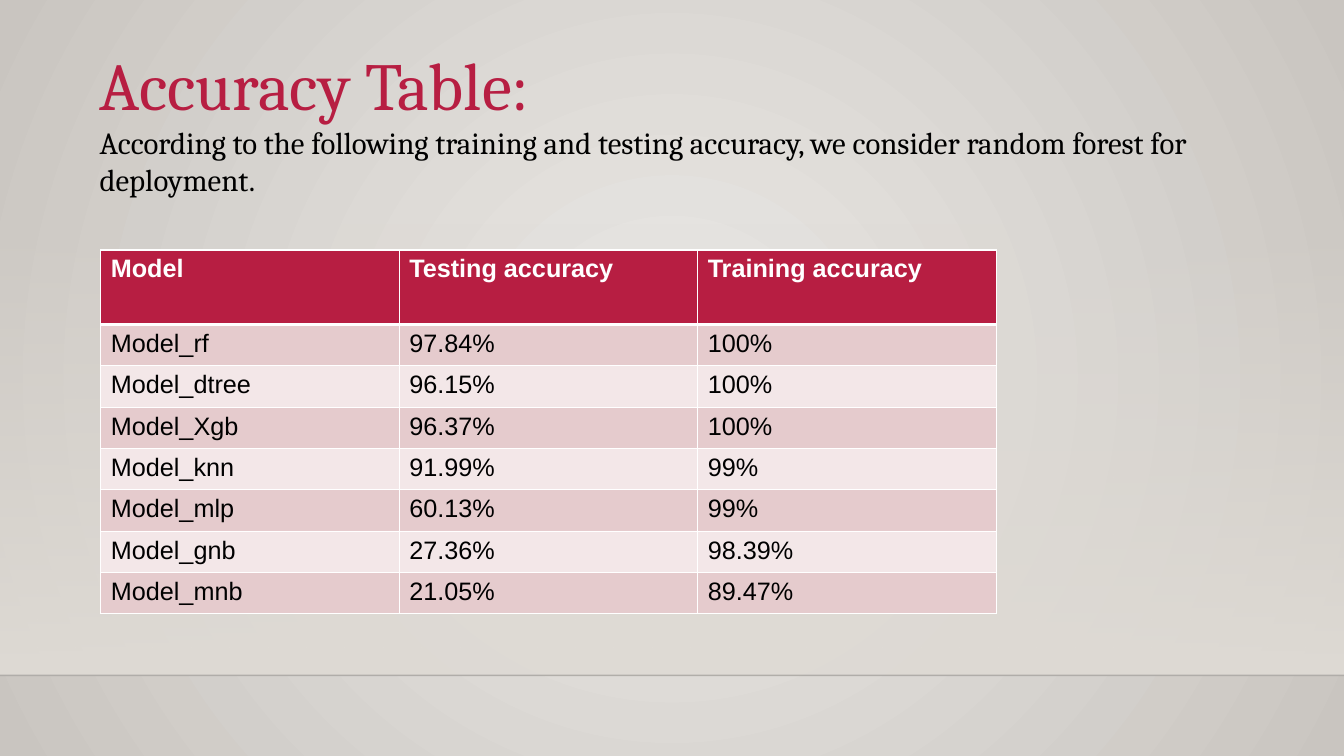
from lxml.etree import SubElement
from pptx import Presentation
from pptx.dml.color import RGBColor
from pptx.enum.shapes import MSO_CONNECTOR as Connector, MSO_SHAPE as Shape
from pptx.oxml import parse_xml
from pptx.oxml.ns import nsdecls, qn
from pptx.util import Inches, Pt

WIDTH, HEIGHT = 13.33, 7.5
FLOOR = 6.7
CRIMSON, ROSE, BLUSH = "B71E42", "E5CBCD", "F3E7E8"
WHITE, BLACK = "FFFFFF", "000000"

ACCURACIES = [
    ("Model", "Testing accuracy", "Training accuracy"),
    ("Model_rf", "97.84%", "100%"),
    ("Model_dtree", "96.15%", "100%"),
    ("Model_Xgb", "96.37%", "100%"),
    ("Model_knn", "91.99%", "99%"),
    ("Model_mlp", "60.13%", "99%"),
    ("Model_gnb", "27.36%", "98.39%"),
    ("Model_mnb", "21.05%", "89.47%"),
]


def color(hex_code):
    return RGBColor.from_string(hex_code)


def set_opacity(element, percent):
    """Make the first RGB colour inside the element partly transparent."""
    rgb = next(element.iter(qn("a:srgbClr")))
    SubElement(rgb, qn("a:alpha")).set("val", str(percent * 1000))


def set_borders(cell, top, bottom):
    """Draw white cell borders; top and bottom are widths in points."""
    properties = cell._tc.get_or_add_tcPr()
    for index, (side, width) in enumerate(
            [("L", 1), ("R", 1), ("T", top), ("B", bottom)]):
        properties.insert(index, parse_xml(
            f'<a:ln{side} {nsdecls("a")} w="{Pt(width)}"><a:solidFill>'
            f'<a:srgbClr val="{WHITE}"/></a:solidFill></a:ln{side}>'))


class AccuracySlide:
    heading_font = "Cambria"
    table_font = "Arial"

    def __init__(self, slide):
        self.slide = slide

    def gradient(self, fill, start, end):
        fill.gradient()
        for stop, hex_code in zip(fill.gradient_stops, (start, end)):
            stop.color.rgb = color(hex_code)

    def backdrop(self, center, edge):
        """Fill the background with a circular gradient."""
        self.gradient(self.slide.background.fill, center, edge)
        gradient = next(self.slide.element.iter(qn("a:gradFill")))
        gradient.replace(gradient.find(qn("a:lin")), parse_xml(
            f'<a:path {nsdecls("a")} path="circle">'
            '<a:fillToRect l="50000" t="50000" r="50000" b="50000"/></a:path>'))

    def fading_wall(self, left, top, width, height, hex_code):
        """Add a panel that is clear at its top and solid at its bottom."""
        wall = self.slide.shapes.add_shape(
            Shape.RECTANGLE, Inches(left), Inches(top), Inches(width), Inches(height))
        wall.shadow.inherit = False
        wall.line.fill.background()
        self.gradient(wall.fill, hex_code, hex_code)
        wall.fill.gradient_angle = 270
        set_opacity(wall._element.spPr, 0)

    def rule(self, y, hex_code, opacity):
        edge = self.slide.shapes.add_connector(
            Connector.STRAIGHT, 0, Inches(y), Inches(WIDTH), Inches(y))
        edge.line.color.rgb = color(hex_code)
        edge.line.width = Pt(1)
        properties = edge._element.spPr
        set_opacity(properties, opacity)
        SubElement(properties, qn("a:effectLst"))

    def set_text(self, paragraph, text, size, hex_code, font, bold=False):
        paragraph.text = text
        paragraph.font.name = font
        paragraph.font.size = Pt(size)
        paragraph.font.bold = bold
        paragraph.font.color.rgb = color(hex_code)

    def heading(self, left, top, width, height, title, summary):
        frame = self.slide.shapes.add_textbox(
            Inches(left), Inches(top), Inches(width), Inches(height)).text_frame
        frame.word_wrap = True
        self.set_text(frame.paragraphs[0], title, 48, CRIMSON, self.heading_font)
        self.set_text(frame.add_paragraph(), summary, 22, BLACK, self.heading_font)

    def table(self, left, top, column_width, header_height, row_height, records):
        columns = len(records[0])
        height = header_height + row_height * (len(records) - 1)
        table = self.slide.shapes.add_table(
            len(records), columns, Inches(left), Inches(top),
            Inches(column_width * columns), Inches(height)).table
        for column in table.columns:
            column.width = Inches(column_width)
        for index, record in enumerate(records):
            header = index == 0
            table.rows[index].height = Inches(header_height if header else row_height)
            band = CRIMSON if header else ROSE if index % 2 else BLUSH
            for cell, text in zip(table.rows[index].cells, record):
                cell.fill.solid()
                cell.fill.fore_color.rgb = color(band)
                set_borders(cell, top=3 if index == 1 else 1, bottom=3 if header else 1)
                self.set_text(cell.text_frame.paragraphs[0], text, 18,
                              WHITE if header else BLACK, self.table_font, header)


def main():
    deck = Presentation()
    deck.slide_width, deck.slide_height = Inches(WIDTH), Inches(HEIGHT)
    page = AccuracySlide(deck.slides.add_slide(deck.slide_layouts[6]))
    page.backdrop("EBE9E6", "C9C5C0")
    page.fading_wall(0, 2.21, WIDTH, FLOOR - 2.21, "DFDBD5")
    page.rule(FLOOR, "000001", 20)
    page.table(1, 2.48, 2.96, 0.74, 0.41, ACCURACIES)
    page.heading(
        0.89, 0.38, 10.99, 1.65, "Accuracy Table:",
        "According to the following training and testing accuracy, "
        "we consider random forest for deployment.")
    deck.save("out.pptx")


if __name__ == "__main__":
    main()
